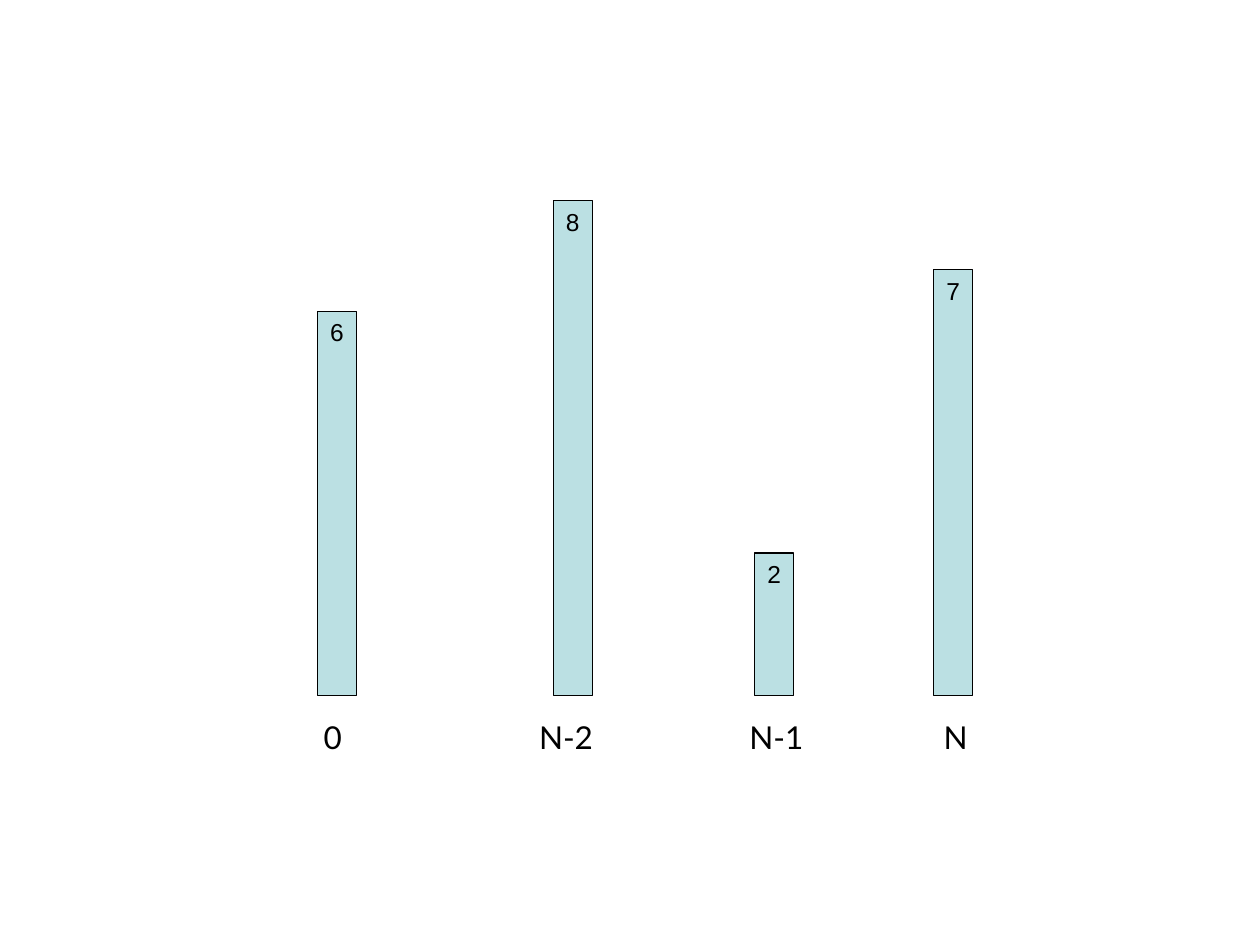
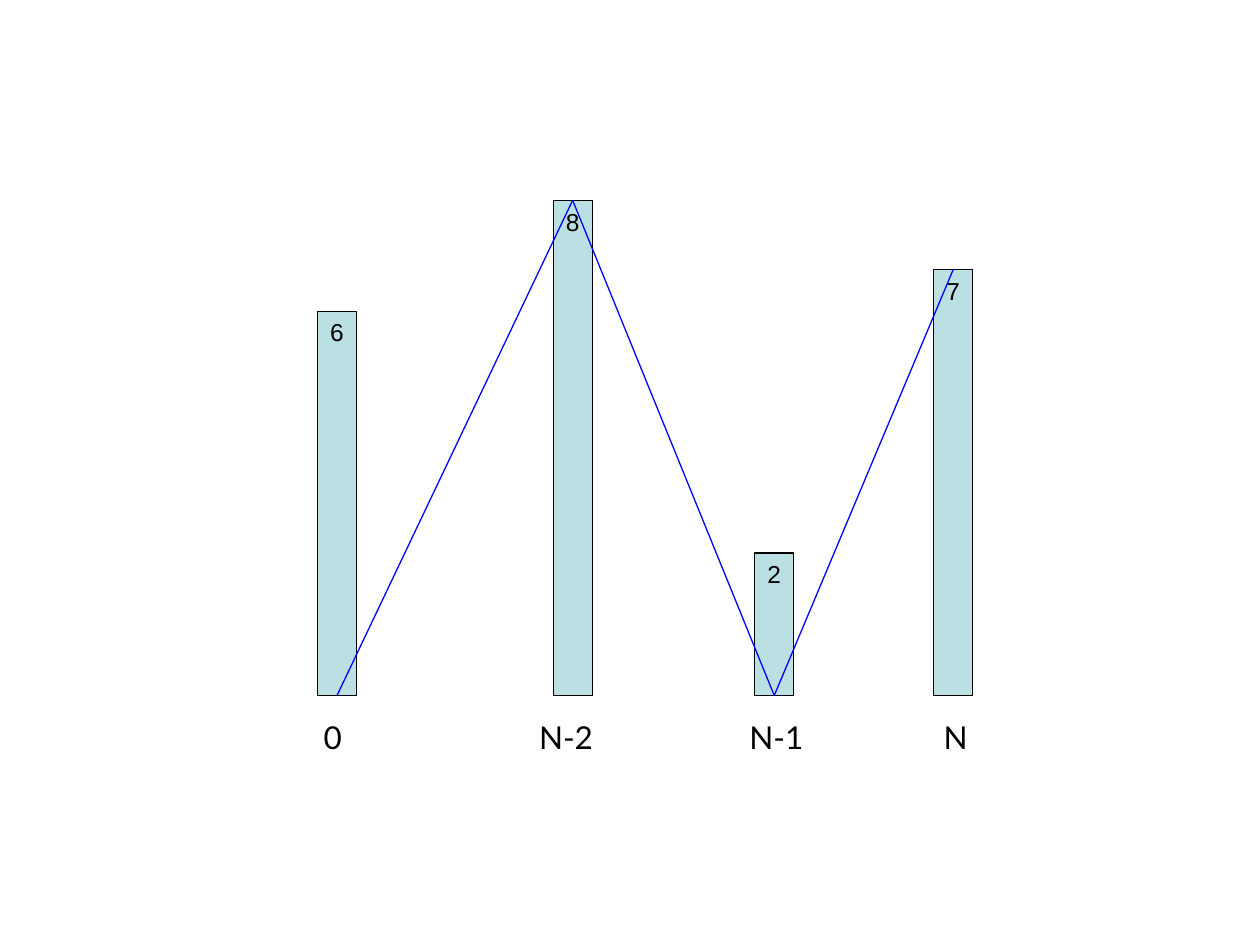
import pptx
import pptx.util
import pptx.dml.color
import pptx.enum.shapes
import pptx.enum.text
import pptx.oxml.ns
import lxml.etree
from itertools import pairwise

Inches = pptx.util.Inches
BAR_FILL, INK, PATH_BLUE = "BBE0E3", "000000", "0000FF"
BAR_WIDTH, BASELINE, LABEL_TOP = 0.31, 5.52, 5.65
BARS = [
    ("6", 2.52, 2.47),
    ("8", 4.39, 1.59),
    ("2", 5.99, 4.39),
    ("7", 7.41, 2.14),
]
LABELS = [
    ("0", 2.47, 0.45),
    ("N-2", 4.18, 0.8),
    ("N-1", 5.85, 0.8),
    ("N", 7.39, 0.8),
]


def color(value):
    """Turn a hex string into a colour."""
    return pptx.dml.color.RGBColor.from_string(value)


def style_line(line, value):
    """Give an outline its colour and the common width."""
    line.color.rgb = color(value)
    line.width = pptx.util.Pt(0.75)


def write(sp, text, font, size, align):
    """Write one run of text at the top of a shape."""
    tf = sp.text_frame
    tf.word_wrap = True
    tf.vertical_anchor = pptx.enum.text.MSO_ANCHOR.TOP
    p = tf.paragraphs[0]
    p.alignment = align
    r = p.add_run()
    r.text = text
    r.font.name = font
    r.font.size = pptx.util.Pt(size)
    r.font.color.rgb = color(INK)


def add_bar(s, value, left, top):
    """Draw a bar from its top down to the baseline."""
    sp = s.shapes.add_shape(
        pptx.enum.shapes.MSO_SHAPE.RECTANGLE,
        Inches(left), Inches(top), Inches(BAR_WIDTH), Inches(BASELINE - top))
    sp.shadow.inherit = False
    sp.fill.solid()
    sp.fill.fore_color.rgb = color(BAR_FILL)
    style_line(sp.line, INK)
    write(sp, value, "Arial", 14, pptx.enum.text.PP_ALIGN.CENTER)


def add_label(s, text, left, width):
    """Place an index label below the baseline."""
    sp = s.shapes.add_textbox(
        Inches(left), Inches(LABEL_TOP), Inches(width), Inches(0.4))
    write(sp, text, "Lato", 18, pptx.enum.text.PP_ALIGN.LEFT)
    sp.text_frame.auto_size = pptx.enum.text.MSO_AUTO_SIZE.SHAPE_TO_FIT_TEXT


def add_line(s, start, end):
    """Draw a straight line between two points."""
    cn = s.shapes.add_connector(
        pptx.enum.shapes.MSO_CONNECTOR.STRAIGHT,
        *(Inches(v) for v in (*start, *end)))
    style_line(cn.line, PATH_BLUE)
    sp_pr = cn._element.spPr
    lxml.etree.SubElement(sp_pr, pptx.oxml.ns.qn("a:effectLst"))


def add_bar_slide(prs):
    """Add a slide with the labelled bars."""
    s = prs.slides.add_slide(prs.slide_layouts[6])
    for bar in reversed(BARS):
        add_bar(s, *bar)
    for label in LABELS:
        add_label(s, *label)
    return s


def add_zigzag(s):
    """Join the bars, alternating between baseline and bar top."""
    points = [(left + BAR_WIDTH / 2, top if i % 2 else BASELINE)
              for i, (_, left, top) in enumerate(BARS)]
    for start, end in pairwise(points):
        add_line(s, start, end)


def main():
    """Build both slides and save the deck."""
    prs = pptx.Presentation()
    prs.slide_width, prs.slide_height = Inches(10), Inches(7.5)
    add_bar_slide(prs)
    add_zigzag(add_bar_slide(prs))
    prs.save("out.pptx")


main()
